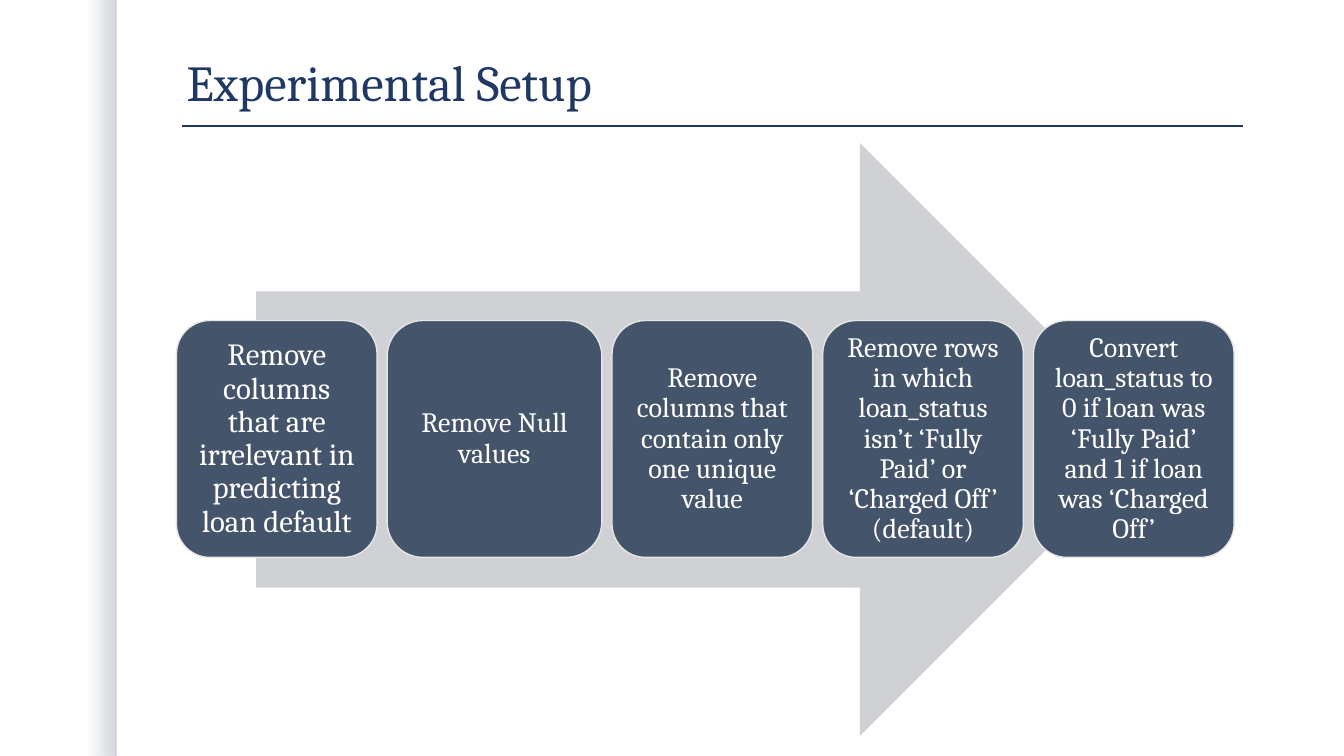
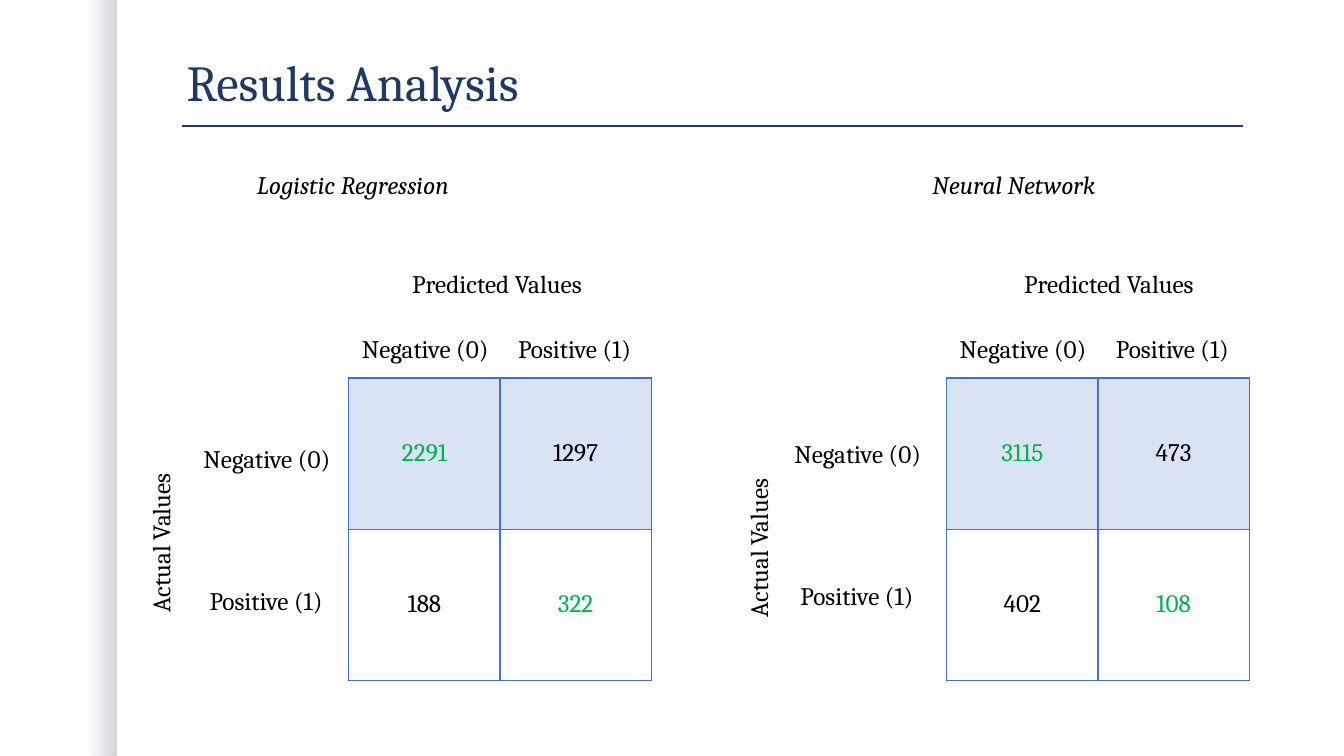
"""Build two slides on loan default prediction: the setup steps and the confusion matrices."""
from lxml import etree
from pptx import Presentation
from pptx import util as u
from pptx.dml.color import RGBColor
from pptx.enum import shapes, text
from pptx.oxml import ns

NAVY, SLATE, ARROW_GREY, PALE = "203864", "44546A", "CFD1D4", "E7E6E6"
BLUE, BLUE_TINT, GREEN, BLACK, WHITE = "4472C4", "DAE3F3", "00B050", "000000", "FFFFFF"


def rgb(value):
    return RGBColor.from_string(value)


def inches(*lengths):
    return [u.Inches(length) for length in lengths]


class Deck:
    font = "Cambria"

    def __init__(self):
        self.presentation = Presentation()
        self.presentation.slide_width, self.presentation.slide_height = inches(13.33, 7.5)
        self.slide = None

    def format(self, frame, size, color, align=text.PP_ALIGN.LEFT, spacing=1.0, italic=False):
        for paragraph in frame.paragraphs:
            paragraph.alignment = align
            paragraph.line_spacing = spacing
            for run in paragraph.runs:
                run.font.name = self.font
                run.font.size = u.Pt(size)
                run.font.italic = italic
                run.font.color.rgb = rgb(color)

    def new_slide(self, heading):
        self.slide = self.presentation.slides.add_slide(self.presentation.slide_layouts[5])
        self.side_band()
        self.rule(1.81, 12.33, 1.25)
        title = self.slide.shapes.title
        title.left, title.top, title.width, title.height = inches(1.75, 0.42, 10.75, 0.75)
        frame = title.text_frame
        frame.text = heading
        frame.auto_size = text.MSO_AUTO_SIZE.NONE
        frame.vertical_anchor = text.MSO_ANCHOR.BOTTOM
        self.format(frame, 36, NAVY, spacing=0.9)

    def side_band(self):
        band = self.shape(shapes.MSO_SHAPE.RECTANGLE, 0, 0, 1.16, 7.5)
        band.fill.gradient()
        band.fill.gradient_angle = 0
        for stop, position, opacity in zip(band.fill.gradient_stops, (0.75, 1), (0, 25000)):
            stop.position = position
            stop.color.rgb = rgb(SLATE)
        for color, opacity in zip(band.element.spPr.iter(ns.qn("a:srgbClr")), (0, 25000)):
            etree.SubElement(color, ns.qn("a:alpha"), val=str(opacity))

    def rule(self, start, end, top):
        line = self.slide.shapes.add_connector(
            shapes.MSO_CONNECTOR.STRAIGHT, *inches(start, top, end, top))
        line.line.color.rgb = rgb(NAVY)
        line.line.width = u.Pt(1)
        etree.SubElement(line.element.spPr, ns.qn("a:effectLst"))

    def shape(self, preset, left, top, width, height, fill=None, outline=None):
        shape = self.slide.shapes.add_shape(preset, *inches(left, top, width, height))
        shape.shadow.inherit = False
        if fill:
            shape.fill.solid()
            shape.fill.fore_color.rgb = rgb(fill)
        if outline:
            shape.line.color.rgb = rgb(outline)
            shape.line.width = u.Pt(1)
        else:
            shape.line.fill.background()
        return shape

    def step(self, words, left, top, width, height, size):
        card = self.shape(shapes.MSO_SHAPE.ROUNDED_RECTANGLE, left, top, width, height, SLATE, PALE)
        frame = card.text_frame
        frame.text = words
        frame.word_wrap = True
        frame.vertical_anchor = text.MSO_ANCHOR.MIDDLE
        inset = u.Inches(0.08)
        frame.margin_left = frame.margin_right = frame.margin_top = frame.margin_bottom = inset
        self.format(frame, size, WHITE, text.PP_ALIGN.CENTER, 0.9)

    def label(self, words, left, top, width, rotation=0, italic=False):
        label = self.slide.shapes.add_textbox(*inches(left, top, width, 0.4))
        label.rotation = rotation
        label.text_frame.text = words
        label.text_frame.word_wrap = True
        self.format(label.text_frame, 18, BLACK, italic=italic)

    def border(self, cell):
        properties = cell._tc.get_or_add_tcPr()
        for index, side in enumerate(("lnL", "lnR", "lnT", "lnB")):
            line = etree.Element(ns.qn(f"a:{side}"), w=str(u.Pt(1)))
            fill = etree.SubElement(line, ns.qn("a:solidFill"))
            etree.SubElement(fill, ns.qn("a:srgbClr"), val=BLUE)
            properties.insert(index, line)

    def counts(self, rows, left, top, side):
        table = self.slide.shapes.add_table(2, 2, *inches(left, top, 2 * side, 2 * side)).table
        table.first_row = table.horz_banding = False
        for r, row in enumerate(rows):
            table.rows[r].height = table.columns[r].width = u.Inches(side)
            for c, count in enumerate(row):
                cell = table.cell(r, c)
                cell.text = str(count)
                cell.vertical_anchor = text.MSO_ANCHOR.MIDDLE
                if r == 0:
                    cell.fill.solid()
                    cell.fill.fore_color.rgb = rgb(BLUE_TINT)
                else:
                    cell.fill.background()
                self.border(cell)
                color = GREEN if r == c else BLACK
                self.format(cell.text_frame, 18, color, text.PP_ALIGN.CENTER)

    def confusion_matrix(self, rows, left, predicted_left, classes_left, classes_top, actual_top):
        self.counts(rows, left, 3.75, 1.5)
        self.label("Predicted Values", predicted_left, 2.61, 2.08)
        self.label("Actual Values", left - 2.84, actual_top, 1.94, rotation=270)
        for i, name in enumerate(("Negative (0)", "Positive (1)")):
            self.label(name, left + 0.03 + 1.55 * i, 3.26, 1.57)
            self.label(name, classes_left + 0.06 * i, classes_top + 1.41 * i, 1.6)


def setup_slide(deck):
    deck.new_slide("Experimental Setup")
    deck.shape(shapes.MSO_SHAPE.RIGHT_ARROW, 2.54, 1.42, 8.93, 5.88, ARROW_GREY)
    steps = [
        ("Remove columns that are irrelevant in predicting loan default", 1.99, 22),
        ("Remove Null values", 2.13, 20),
        ("Remove columns that contain only one unique value", 1.99, 20),
        ("Remove rows in which loan_status isn’t ‘Fully Paid’ or ‘Charged Off’ (default)", 1.99, 20),
        ("Convert loan_status to 0 if loan was ‘Fully Paid’ and 1 if loan was ‘Charged Off’", 1.99, 20),
    ]
    left, gap = 1.75, 0.1
    for words, width, size in steps:
        deck.step(words, left, 3.18, width, 2.35, size)
        left += width + gap


def results_slide(deck):
    deck.new_slide("Results Analysis")
    deck.label("Logistic Regression", 2.45, 1.63, 2.58, italic=True)
    deck.label("Neural Network", 9.15, 1.63, 1.99, italic=True)
    deck.confusion_matrix([(2291, 1297), (188, 322)], left=3.46, predicted_left=3.99,
                          classes_left=1.92, classes_top=4.35, actual_top=5)
    deck.confusion_matrix([(3115, 473), (402, 108)], left=9.39, predicted_left=10.06,
                          classes_left=7.78, classes_top=4.3, actual_top=5.05)


def main():
    deck = Deck()
    setup_slide(deck)
    results_slide(deck)
    deck.presentation.save("out.pptx")


if __name__ == "__main__":
    main()
